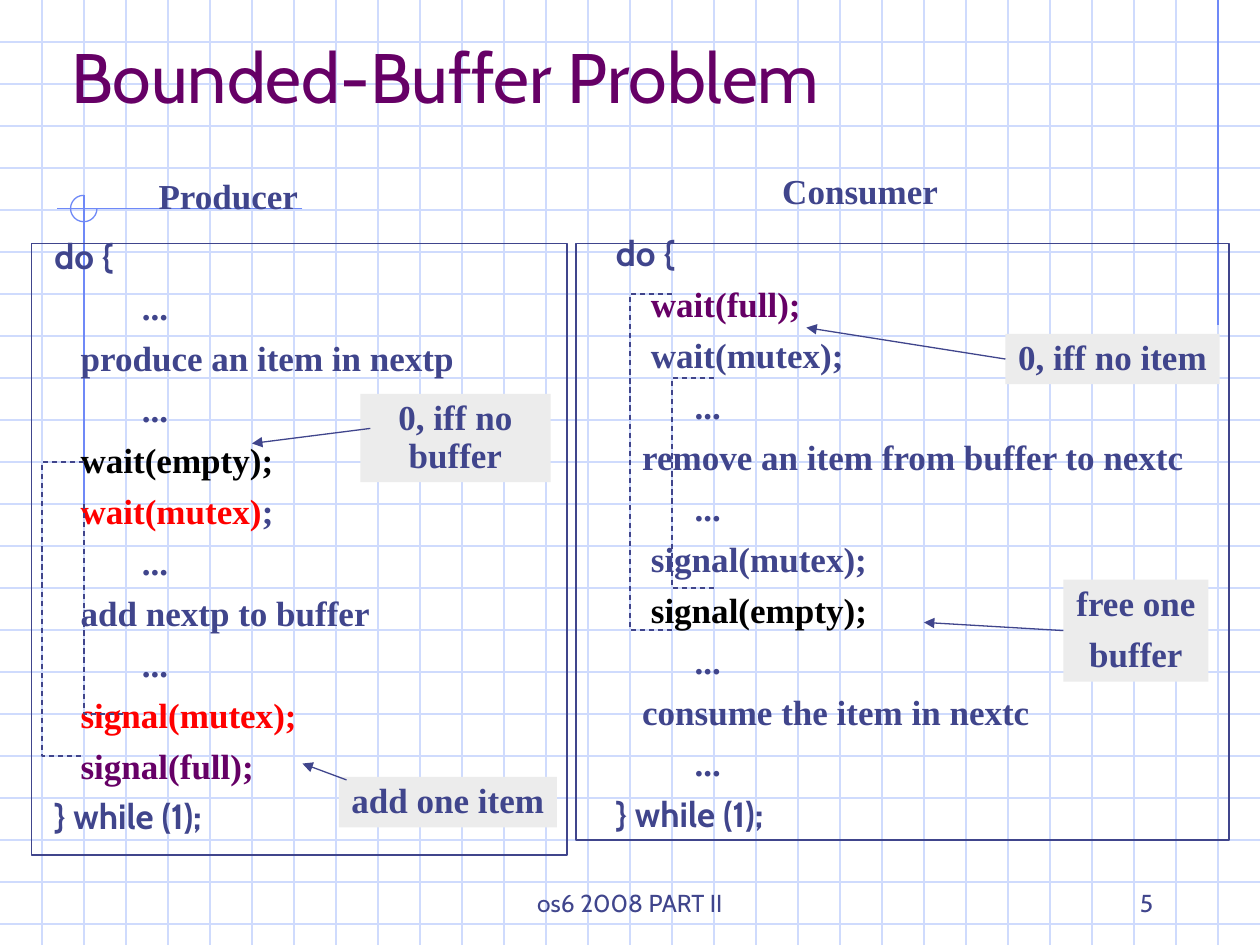
import pptx
import pptx.util
from pptx.dml.color import RGBColor
from pptx.enum.dml import MSO_LINE
from pptx.enum.shapes import MSO_CONNECTOR, MSO_SHAPE
from pptx.enum.text import MSO_ANCHOR, PP_ALIGN
from pptx.oxml.ns import qn
from lxml import etree

COLUMNS, ROWS = 30, 22.5  # three grid cells to the inch
INDIGO = RGBColor(0x40, 0x45, 0x8C)
PURPLE = RGBColor(0x66, 0x00, 0x66)
RED = RGBColor(0xFF, 0x00, 0x00)
BLACK = RGBColor(0x00, 0x00, 0x00)
PALE_BLUE = RGBColor(0xCF, 0xDB, 0xFD)
BLUE = RGBColor(0x6F, 0x89, 0xF7)
GREY = RGBColor(0xEC, 0xEC, 0xEC)
SANS, SERIF = "Cabin", "Times New Roman"

# A code line is a list of (text, colour) pieces.
PRODUCER_CODE = [
    [("do {", INDIGO)],
    [("          ...", INDIGO)],
    [("   produce an item in nextp", INDIGO)],
    [("          ...", INDIGO)],
    [("   wait(empty);", BLACK)],
    [("   wait(mutex)", RED), (";", INDIGO)],
    [("          ...", INDIGO)],
    [("   add nextp to buffer", INDIGO)],
    [("          ...", INDIGO)],
    [("   signal(mutex);", RED)],
    [("   signal(full);", PURPLE)],
    [("} while (1);", INDIGO)],
]
CONSUMER_CODE = [
    [("do {", INDIGO)],
    [("    wait(full);", PURPLE)],
    [("    wait(mutex);", INDIGO)],
    [("         ...", INDIGO)],
    [("   remove an item from buffer to nextc", INDIGO)],
    [("         ...", INDIGO)],
    [("    signal(mutex);", INDIGO)],
    [("    signal(empty);", BLACK)],
    [("         ...", INDIGO)],
    [("   consume the item in nextc", INDIGO)],
    [("         ...", INDIGO)],
    [("} while (1);", INDIGO)],
]


def cells(count):
    return pptx.util.Inches(count / 3)


def place(*counts):
    return [cells(count) for count in counts]


def style_font(font, size, face, colour, bold=False):
    font.size = pptx.util.Pt(size)
    font.name = face
    font.bold = bold
    font.color.rgb = colour


def space_lines(paragraph, index):
    paragraph.line_spacing = 0.9
    paragraph.space_before = pptx.util.Pt(7.5 if index else 0)


def add_line(slide, start, end, colour):
    line = slide.shapes.add_connector(
        MSO_CONNECTOR.STRAIGHT, *place(*start), *place(*end))
    line.line.color.rgb = colour
    line.line.width = pptx.util.Pt(0.75)
    etree.SubElement(line._element.spPr, qn("a:effectLst"))
    return line


def add_arrow(slide, start, end):
    arrow = add_line(slide, start, end, INDIGO)
    etree.SubElement(arrow.line._get_or_add_ln(), qn("a:tailEnd"), type="triangle")
    return arrow


def add_background(slide):
    for row in range(1, int(ROWS) + 1):
        add_line(slide, (0, row), (COLUMNS, row), PALE_BLUE)
    for column in range(1, COLUMNS):
        add_line(slide, (column, 0), (column, ROWS), PALE_BLUE)
    add_line(slide, (29, 0), (29, 7.75), BLUE)
    add_line(slide, (7.2, 4.97), (1.35, 4.97), BLUE)
    add_line(slide, (2, 4.65), (2, 12.27), BLUE)
    ring = slide.shapes.add_shape(MSO_SHAPE.ARC, *place(1.68, 4.65, 0.63, 0.63))
    ring.adjustments[0], ring.adjustments[1] = 0, 162  # 270 degrees, from the right
    ring.fill.background()
    ring.line.color.rgb = BLUE
    ring.line.width = pptx.util.Pt(0.75)
    ring.shadow.inherit = False


def add_label(slide, area, text, size, face, colour, bold=False,
              align=PP_ALIGN.LEFT, anchor=MSO_ANCHOR.TOP):
    frame = slide.shapes.add_textbox(*place(*area)).text_frame
    frame.word_wrap = True
    frame.vertical_anchor = anchor
    label = frame.paragraphs[0]
    label.text = text
    label.alignment = align
    style_font(label.font, size, face, colour, bold)


def add_heading(slide, area, text):
    add_label(slide, area, text, 20, SERIF, INDIGO, bold=True)


def add_panel(slide, area):
    panel = slide.shapes.add_shape(MSO_SHAPE.RECTANGLE, *place(*area))
    panel.fill.background()
    panel.line.color.rgb = INDIGO
    panel.line.width = pptx.util.Pt(1)
    panel.shadow.inherit = False


def add_code(slide, area, code):
    frame = slide.shapes.add_textbox(*place(*area)).text_frame
    frame.word_wrap = True
    for index, pieces in enumerate(code):
        line = frame.add_paragraph() if index else frame.paragraphs[0]
        space_lines(line, index)
        face = SANS if index in (0, len(code) - 1) else SERIF
        style_font(line.font, 20, face, pieces[0][1], bold=True)
        for text, colour in pieces:
            run = line.add_run()
            run.text = text
            if len(pieces) > 1:
                run.font.color.rgb = colour


def add_bracket(slide, spine, top, top_end, bottom, bottom_end):
    """Dashed bracket pairing a wait with its signal."""
    outline = slide.shapes.build_freeform(top_end, top, scale=cells(1))
    outline.add_line_segments(
        [(spine, top), (spine, bottom), (bottom_end, bottom)], close=False)
    bracket = outline.convert_to_shape()
    bracket.fill.background()
    bracket.line.color.rgb = INDIGO
    bracket.line.width = pptx.util.Pt(0.75)
    bracket.line.dash_style = MSO_LINE.DASH
    bracket.shadow.inherit = False


def add_callout(slide, area, lines):
    callout = slide.shapes.add_shape(MSO_SHAPE.RECTANGLE, *place(*area))
    callout.fill.solid()
    callout.fill.fore_color.rgb = GREY
    callout.line.fill.background()
    callout.shadow.inherit = False
    frame = callout.text_frame
    frame.margin_left = frame.margin_right = pptx.util.Inches(0.05)
    frame.vertical_anchor = MSO_ANCHOR.TOP
    for index, text in enumerate(lines):
        line = frame.add_paragraph() if index else frame.paragraphs[0]
        line.text = text
        line.alignment = PP_ALIGN.CENTER
        space_lines(line, index)
        style_font(line.font, 20, SERIF, INDIGO, bold=True)
    return callout


def main():
    deck = pptx.Presentation()
    deck.slide_width, deck.slide_height = place(COLUMNS, ROWS)
    slide = deck.slides.add_slide(deck.slide_layouts[6])
    add_background(slide)

    add_panel(slide, (0.75, 5.8, 12.75, 14.55))
    add_code(slide, (1, 5.55, 12, 14.5), PRODUCER_CODE)
    add_panel(slide, (13.71, 5.8, 15.55, 14.2))
    add_code(slide, (14.37, 5.48, 15.3, 14.5), CONSUMER_CODE)
    add_heading(slide, (3.48, 4, 5.8, 1.2), "Producer")
    add_label(slide, (1.4, 1.08, 23.4, 1.44), "Bounded-Buffer Problem",
              40, SANS, PURPLE, anchor=MSO_ANCHOR.MIDDLE)
    add_heading(slide, (18.33, 3.88, 5.8, 1.2), "Consumer")

    add_bracket(slide, 1.68, 12.18, 2.4, 17.06, 2.55)
    add_bracket(slide, 15.06, 7.31, 15.87, 14.56, 16.05)
    add_bracket(slide, 0.87, 11, 1.95, 18.25, 2.19)
    add_bracket(slide, 15.81, 9, 16.53, 13.88, 16.68)

    no_item = add_callout(slide, (23.94, 7.95, 5.1, 1.2), ["0, iff no item"])
    add_arrow(slide, (23.94, 8.55), (19.2, 7.8)).begin_connect(no_item, 1)
    add_callout(slide, (8.58, 9.38, 4.53, 2.1), ["0, iff no buffer"])
    add_arrow(slide, (8.82, 10.2), (6, 10.56))
    free_one = add_callout(slide, (25.32, 13.8, 3.45, 2.43), ["free one", "buffer"])
    add_arrow(slide, (25.32, 15.02), (22, 14.82)).begin_connect(free_one, 1)
    add_callout(slide, (8.07, 18.5, 5.19, 1.2), ["add one item"])
    add_arrow(slide, (8.25, 18.57), (7.2, 18.18))

    add_label(slide, (10.25, 20.5, 9.5, 1.5), "os6 2008 PART II", 14, SANS,
              INDIGO, align=PP_ALIGN.CENTER, anchor=MSO_ANCHOR.BOTTOM)
    add_label(slide, (21.5, 20.5, 6.25, 1.5), "5", 14, SANS,
              INDIGO, align=PP_ALIGN.RIGHT, anchor=MSO_ANCHOR.BOTTOM)
    deck.save("out.pptx")


if __name__ == "__main__":
    main()
